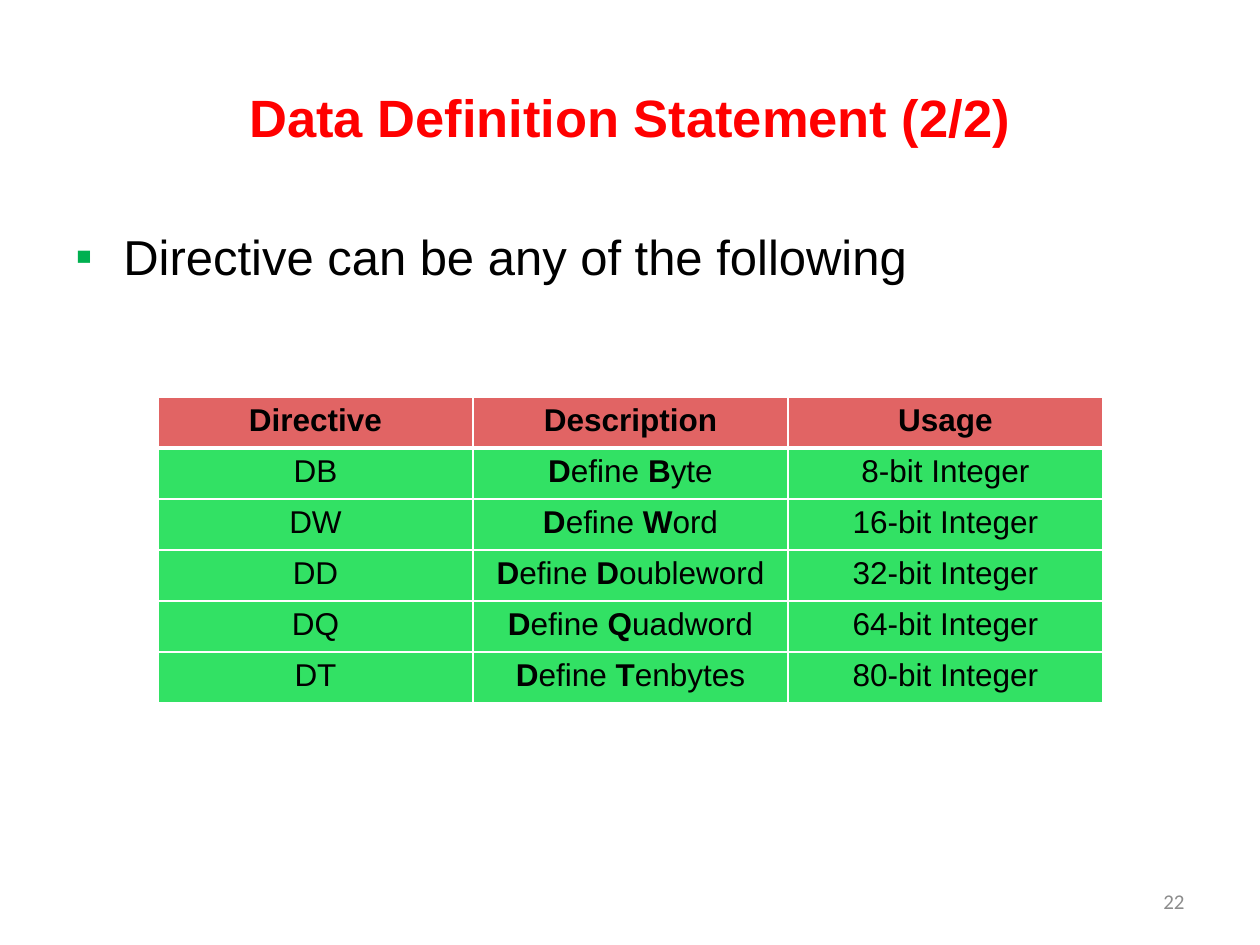
from dataclasses import dataclass
from typing import NamedTuple

from lxml.etree import SubElement
from pptx import Presentation
from pptx.dml.color import RGBColor as RGB
from pptx.enum.text import MSO_ANCHOR as Anchor, PP_ALIGN as Align
from pptx.oxml.ns import qn
from pptx.util import Emu, Pt

PX_PER_INCH = 126


def px(length: int) -> Emu:
    return Emu(round(length * 914400 / PX_PER_INCH))


@dataclass(frozen=True)
class Theme:
    title: str = "FF0000"
    text: str = "000000"
    bullet: str = "00B050"
    page: str = "8C8C8C"
    header: str = "E16464"
    row: str = "32E164"
    border: str = "FFFFFF"
    font: str = "Arial"
    page_font: str = "Calibri"
    title_size: int = 30
    body_size: int = 28
    table_size: int = 18
    page_size: int = 12


class Box(NamedTuple):
    left: int
    top: int
    width: int
    height: int


class Directive(NamedTuple):
    name: str
    meaning: str
    bits: int


THEME = Theme()
TITLE_BOX = Box(63, 38, 1134, 157)
BODY_BOX = Box(63, 220, 1134, 624)
PAGE_BOX = Box(903, 876, 294, 50)
TABLE_BOX = Box(158, 397, 945, 306)
HEADINGS = ("Directive", "Description", "Usage")
DIRECTIVES = (
    Directive("DB", "Byte", 8),
    Directive("DW", "Word", 16),
    Directive("DD", "Doubleword", 32),
    Directive("DQ", "Quadword", 64),
    Directive("DT", "Tenbytes", 80),
)


def place(shape, box: Box) -> None:
    for side, length in box._asdict().items():
        setattr(shape, side, px(length))


def add_run(paragraph, text: str, size: int, color: str = THEME.text,
            bold: bool = False, font: str = THEME.font) -> None:
    run = paragraph.add_run()
    run.text = text
    for name, value in {"name": font, "size": Pt(size), "bold": bold}.items():
        setattr(run.font, name, value)
    run.font.color.rgb = RGB.from_string(color)


def add_text_box(slide, box: Box, anchor: Anchor):
    """Add an empty wrapping text box and return its first paragraph."""
    shape = slide.shapes.add_textbox(*map(px, box))
    shape.text_frame.word_wrap = True
    shape.text_frame.vertical_anchor = anchor
    return shape.text_frame.paragraphs[0]


def add_bullet(paragraph, indent: int) -> None:
    props = paragraph._p.get_or_add_pPr()
    props.set("marL", str(px(indent)))
    props.set("indent", str(-px(indent)))
    color = SubElement(props, qn("a:buClr"))
    SubElement(color, qn("a:srgbClr"), val=THEME.bullet)
    SubElement(props, qn("a:buFont"), typeface=THEME.font)
    SubElement(props, qn("a:buChar"), char="▪")


def set_borders(cell, widths: dict[str, int]) -> None:
    """Draw the cell's sides; borders must come before the fill in the XML."""
    props = cell._tc.get_or_add_tcPr()
    for side, width in widths.items():
        line = SubElement(props, qn(f"a:ln{side}"), w=str(Pt(width)))
        fill = SubElement(line, qn("a:solidFill"))
        SubElement(fill, qn("a:srgbClr"), val=THEME.border)


def fill_cell(cell, parts: list[tuple[str, bool]], row: int) -> None:
    """Write (text, bold) parts; a thick rule parts the header from the rows."""
    set_borders(cell, {"L": 1, "R": 1, "T": 3 if row == 1 else 1,
                       "B": 3 if row == 0 else 1})
    cell.fill.solid()
    cell.fill.fore_color.rgb = RGB.from_string(THEME.row if row else THEME.header)
    paragraph = cell.text_frame.paragraphs[0]
    paragraph.alignment = Align.CENTER
    for text, bold in parts:
        add_run(paragraph, text, THEME.table_size, bold=bold)


def directive_parts(directive: Directive) -> list[list[tuple[str, bool]]]:
    meaning = directive.meaning
    return [
        [(directive.name, False)],
        [("D", True), ("efine ", False), (meaning[0], True), (meaning[1:], False)],
        [(f"{directive.bits}-bit Integer", False)],
    ]


def add_directive_table(slide) -> None:
    rows = [[[(heading, True)] for heading in HEADINGS]]
    rows += map(directive_parts, DIRECTIVES)
    table = slide.shapes.add_table(len(rows), len(HEADINGS), *map(px, TABLE_BOX)).table
    for row, cells in enumerate(rows):
        for column, parts in enumerate(cells):
            fill_cell(table.cell(row, column), parts, row)


def main() -> None:
    deck = Presentation()
    deck.slide_width, deck.slide_height = px(1260), px(945)
    slide = deck.slides.add_slide(deck.slide_layouts[5])

    title = slide.shapes.title
    place(title, TITLE_BOX)
    title.text_frame.vertical_anchor = Anchor.MIDDLE
    heading = title.text_frame.paragraphs[0]
    heading.alignment = Align.CENTER
    add_run(heading, "Data Definition Statement (2/2)", THEME.title_size,
            THEME.title, bold=True)

    intro = add_text_box(slide, BODY_BOX, Anchor.TOP)
    intro.space_before = Pt(5)
    add_bullet(intro, 48)
    add_run(intro, "Directive can be any of the following", THEME.body_size)

    page = add_text_box(slide, PAGE_BOX, Anchor.MIDDLE)
    page.alignment = Align.RIGHT
    add_run(page, "22", THEME.page_size, THEME.page, font=THEME.page_font)

    add_directive_table(slide)
    deck.save("out.pptx")


if __name__ == "__main__":
    main()
